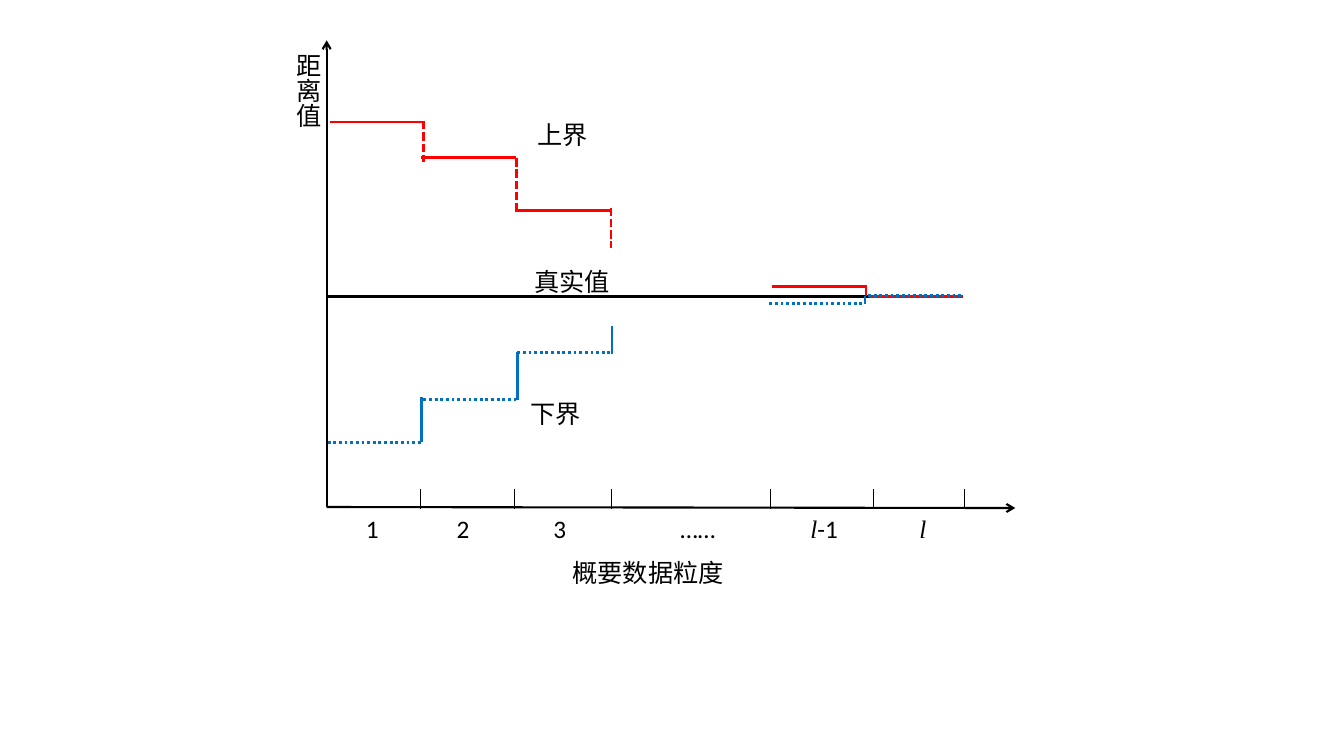
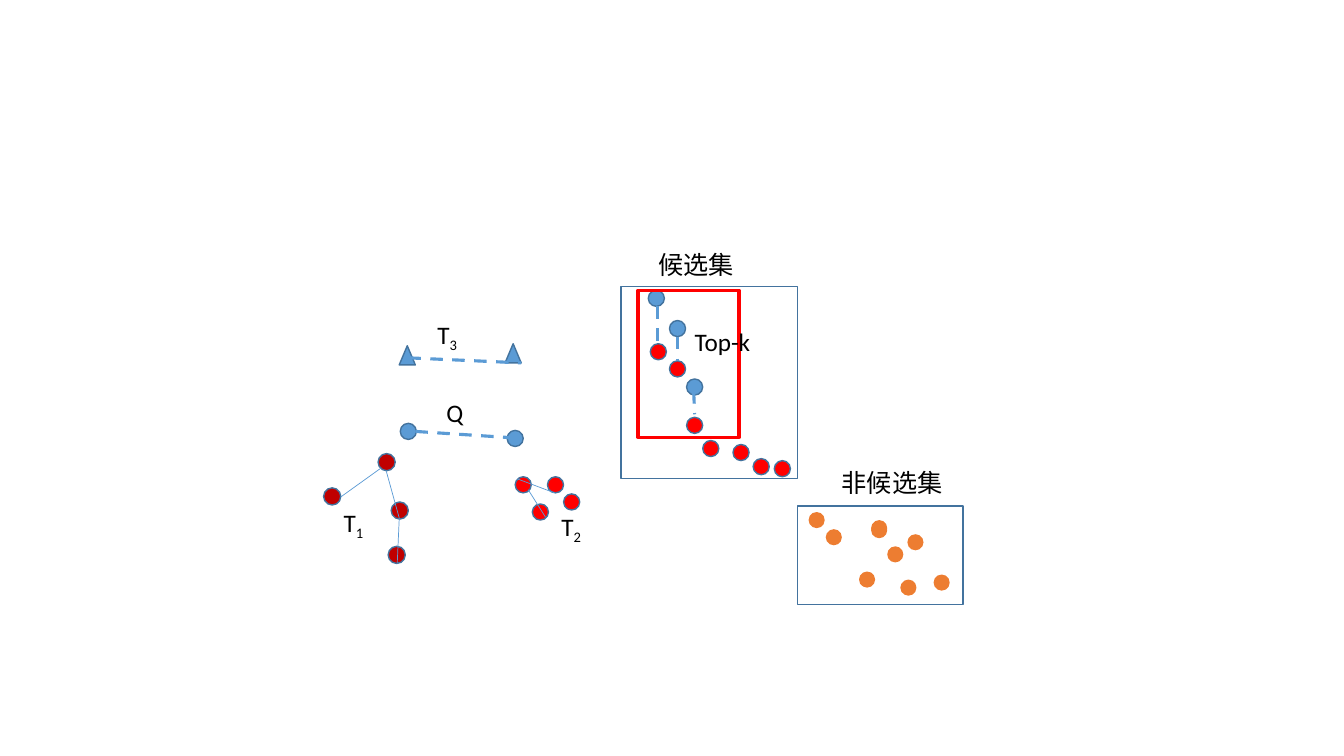
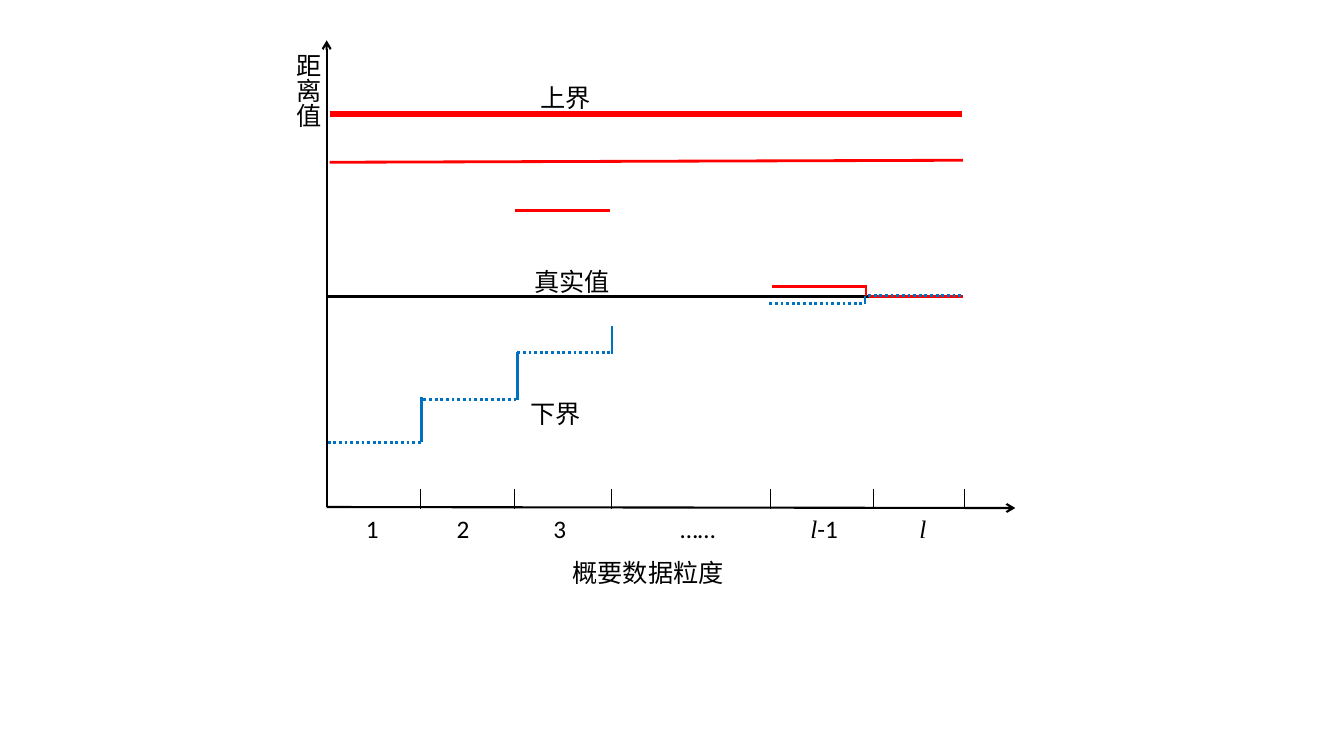
from dataclasses import dataclass
from typing import Any

from lxml import etree
from pptx import Presentation
from pptx.dml.color import RGBColor
from pptx.enum.dml import MSO_LINE
from pptx.enum.shapes import MSO_CONNECTOR, MSO_SHAPE
from pptx.enum.text import MSO_AUTO_SIZE
from pptx.oxml.ns import qn
from pptx.util import Inches, Pt

STRAIGHT = MSO_CONNECTOR.STRAIGHT
OVAL, TRIANGLE, RECT = MSO_SHAPE.OVAL, MSO_SHAPE.ISOSCELES_TRIANGLE, MSO_SHAPE.RECTANGLE
DOTTED, SHORT_DASH, DASH = MSO_LINE.ROUND_DOT, MSO_LINE.SQUARE_DOT, MSO_LINE.DASH
FIT_TEXT = MSO_AUTO_SIZE.SHAPE_TO_FIT_TEXT

COLORS = {
    "black": "000000", "red": "FF0000", "dark_red": "C00000", "bound_blue": "0070C0",
    "blue": "5B9BD5", "outline": "43739E", "orange": "ED7D31",
}
BODY_FONT, MATH_FONT = "Calibri", "Times New Roman"
CELL = 0.1  # inches per grid column and row
DOT = 1.6


@dataclass
class Region:
    """A box on a slide; its parts are placed in cells from its top left corner."""
    slide: Any
    left: float
    top: float
    width: float
    height: float

    def x(self, column):
        return Inches((self.left + column) * CELL)

    def y(self, row):
        return Inches((self.top + row) * CELL)


def rgb(name):
    return RGBColor.from_string(COLORS[name])


def add_line(region, start, end, color="black", width=2, dash=None, arrow=False):
    line = region.slide.shapes.add_connector(
        STRAIGHT, region.x(start[0]), region.y(start[1]), region.x(end[0]), region.y(end[1]))
    line.line.color.rgb = rgb(color)
    line.line.width = Pt(width)
    if dash is not None:
        line.line.dash_style = dash
    properties = line.element.spPr
    if arrow:
        etree.SubElement(properties.find(qn("a:ln")), qn("a:tailEnd"), type="arrow")
    etree.SubElement(properties, qn("a:effectLst"))


def add_level(region, start, end, row, color, **style):
    add_line(region, (start, row), (end, row), color, **style)


def add_riser(region, column, top, bottom, color, **style):
    add_line(region, (column, top), (column, bottom), color, **style)


def add_mark(region, kind, column, row, width, height, fill=None, line="outline", weight=1):
    mark = region.slide.shapes.add_shape(
        kind, region.x(column), region.y(row), Inches(width * CELL), Inches(height * CELL))
    mark.shadow.inherit = False
    if fill:
        mark.fill.solid()
        mark.fill.fore_color.rgb = rgb(fill)
    else:
        mark.fill.background()
    if line:
        mark.line.color.rgb = rgb(line)
        mark.line.width = Pt(weight)
    else:
        mark.line.fill.background()


def add_dots(region, places, fill, size=DOT, line="outline"):
    for column, row in places:
        add_mark(region, OVAL, column, row, size, size, fill, line)


def add_text(region, text, column, row, width, height=4, wrap=False, vertical=False,
             font=BODY_FONT, italic=False, suffix="", subscript=False):
    box = region.slide.shapes.add_textbox(
        region.x(column), region.y(row), Inches(width * CELL), Inches(height * CELL))
    frame = box.text_frame
    frame.word_wrap = wrap
    frame.auto_size = FIT_TEXT
    if vertical:
        box.element.txBody.bodyPr.set("vert", "eaVert")
    runs = [(text, font, italic)]
    if suffix:
        runs.append((suffix, BODY_FONT, False))
    for content, face, slanted in runs:
        run = frame.paragraphs[0].add_run()
        run.text = content
        run.font.name = face
        run.font.size = Pt(18)
        run.font.italic = slanted
        run.font.color.rgb = rgb("black")
    if subscript:
        run.font._element.set("baseline", "-25000")


def draw_axes(chart):
    add_line(chart, (0, chart.height), (0, 0), width=1.5, arrow=True)
    add_line(chart, (0, chart.height), (chart.width, chart.height + 0.1), width=1.5, arrow=True)
    for column in (9.3, 18.6, 28.2, 44, 54.2, 63.2):
        add_riser(chart, column, chart.height - 1.8, chart.height + 0.2, "black", width=0.5)
    # Granularity labels
    label_row = chart.height + 0.1
    for number, column in (("1", 2.9), ("2", 11.9), ("3", 21.5)):
        add_text(chart, number, column, label_row, 3.3)
    add_text(chart, "……", 34.1, label_row, 8.1, wrap=True)
    add_text(chart, "l", 47, label_row, 4.8, font=MATH_FONT, italic=True, suffix="-1")
    add_text(chart, "l", 57.8, label_row, 5.2, 4.2, wrap=True, font=MATH_FONT, italic=True)
    # Axis titles
    add_text(chart, "概要数据粒度", 23.4, chart.height + 4.5, 17.2)
    add_text(chart, "距离值", -4.8, 0.3, 5, 8.6, vertical=True)


def draw_lower_bound(chart):
    for start, row in ((0.1, 39.9), (9.6, 35.6), (18.9, 31)):
        add_level(chart, start, start + 9.4, row, "bound_blue", dash=DOTTED)
    for column, top, bottom in ((9.4, 35.4, 39.9), (18.9, 30.9, 35.7), (28.3, 28.3, 31.1)):
        add_riser(chart, column, top, bottom, "bound_blue")
    add_text(chart, "下界", 19.2, 35, 7.1)


def draw_convergence(chart):
    true_row = 25.4
    add_level(chart, 0.1, 63.1, true_row, "black")
    add_text(chart, "真实值", 19.6, 21.9, 9.6)
    # Upper bound meets the true value
    add_level(chart, 44.2, 53.6, true_row - 1, "red")
    add_riser(chart, 53.5, true_row - 0.9, true_row, "red", dash=SHORT_DASH)
    add_level(chart, 53.8, 63.1, true_row, "red")
    # Lower bound meets the true value
    add_level(chart, 43.9, 53.3, true_row + 0.7, "bound_blue", dash=DOTTED)
    add_riser(chart, 53.4, true_row, true_row + 0.8, "bound_blue")
    add_level(chart, 53.7, 63.1, true_row - 0.1, "bound_blue", dash=DOTTED)


def draw_bounds_chart(slide):
    chart = Region(slide, 32.4, 4, 68.3, 46.3)
    draw_axes(chart)
    draw_lower_bound(chart)
    draw_convergence(chart)
    add_level(chart, 18.7, 28.1, 16.9, "red")  # upper bound at granularity 3
    return chart


def stepped_slide(slide):
    chart = draw_bounds_chart(slide)
    for start, end, row in ((0.3, 9.6, 8.1), (9.4, 18.8, 11.6)):
        add_level(chart, start, end, row, "red")
    for column, top, bottom in ((9.6, 8, 12.1), (18.8, 11.7, 17.1), (28.2, 16.6, 20.6)):
        add_riser(chart, column, top, bottom, "red", dash=SHORT_DASH)
    add_text(chart, "上界", 19.9, 7.3, 7.1)


def flat_slide(slide):
    chart = draw_bounds_chart(slide)
    add_level(chart, 0.3, 63, 7.3, "red", width=4)
    add_line(chart, (0.3, 12.1), (63.1, 11.9), "red")
    add_text(chart, "上界", 20.2, 3.7, 7.1)


def draw_trajectories(region):
    # Query Q and trajectory T3
    add_dots(region, ((7.7, 11), (18.3, 11.7)), "blue")
    for column, row in ((7.6, 3.3), (18.1, 3.1)):
        add_mark(region, TRIANGLE, column, row, 1.6, 1.9, "blue")
    for start, end in (((9.2, 11.8), (19.9, 12.5)), ((8.5, 4.5), (19.7, 5))):
        add_line(region, start, end, "blue", 2.25, DASH)
    # Trajectories T1 and T2
    add_dots(region, ((5.5, 14), (0.1, 17.4), (6.8, 18.8), (6.5, 23.2)), "dark_red", 1.7)
    add_dots(region, ((19.1, 16.3), (20.8, 19), (22.3, 16.3), (23.9, 18)), "red")
    for start, end in (((1.8, 18.3), (5.7, 15.5)), ((7.6, 20.4), (6.3, 15.7)),
                       ((7.4, 24.9), (7.6, 20.4)), ((22.1, 20.3), (20.4, 17.6)),
                       ((23, 17.9), (19.3, 16.5))):
        add_line(region, start, end, "blue", 0.5)
    # Names
    for number, column, row in (("1", 1.1, 18.8), ("2", 22.7, 19.2), ("3", 10.4, 0.2)):
        add_text(region, "T", column, row, 4.1, suffix=number, subscript=True)
    add_text(region, "Q", 11.3, 7.9, 3.7)


def draw_candidates(region):
    add_dots(region, ((2.9, 5.7), (4.8, 7.4), (6.5, 13)), "red")
    add_dots(region, ((2.7, 0.4), (4.8, 3.4), (6.5, 9.2)), "blue")
    for start, end in (((3.6, 2), (3.6, 5.7)), ((5.6, 5), (5.6, 7.4)),
                       ((7.2, 10.4), (7.3, 12.7))):
        add_line(region, start, end, "blue", 2.25, DASH)
    add_mark(region, RECT, 0, 0, region.width, region.height)
    add_dots(region, ((8.1, 15.3), (11.1, 15.7), (13.1, 17.1), (15.2, 17.3)), "red")
    add_text(region, "候选集", 2.7, -4.2, 9.6)
    # Best matches
    add_mark(region, RECT, 1.7, 0.4, 10, 14.6, line="red", weight=2.5)
    add_text(region, "Top-k", 6.3, 3.5, 7.6)


def draw_rejected(region):
    add_mark(region, RECT, 0, 0, region.width, region.height)
    add_dots(region, ((1.1, 0.6), (2.8, 2.3), (7.3, 1.6), (6.1, 6.5), (10.2, 7.3),
                      (10.9, 2.8), (7.3, 1.4), (8.9, 4), (13.5, 6.8)), "orange", line=None)
    add_text(region, "非候选集", 3.4, -4.3, 12.1)


def candidate_slide(slide):
    draw_trajectories(Region(slide, 32, 31, 27, 25))
    draw_candidates(Region(slide, 61.6, 28.4, 17.5, 19.1))
    draw_rejected(Region(slide, 79.1, 50.2, 16.4, 9.8))


def main():
    deck = Presentation()
    deck.slide_width, deck.slide_height = Inches(13.33), Inches(7.5)
    blank = deck.slide_layouts[6]
    for build in (stepped_slide, candidate_slide, flat_slide):
        build(deck.slides.add_slide(blank))
    deck.save("out.pptx")


if __name__ == "__main__":
    main()
